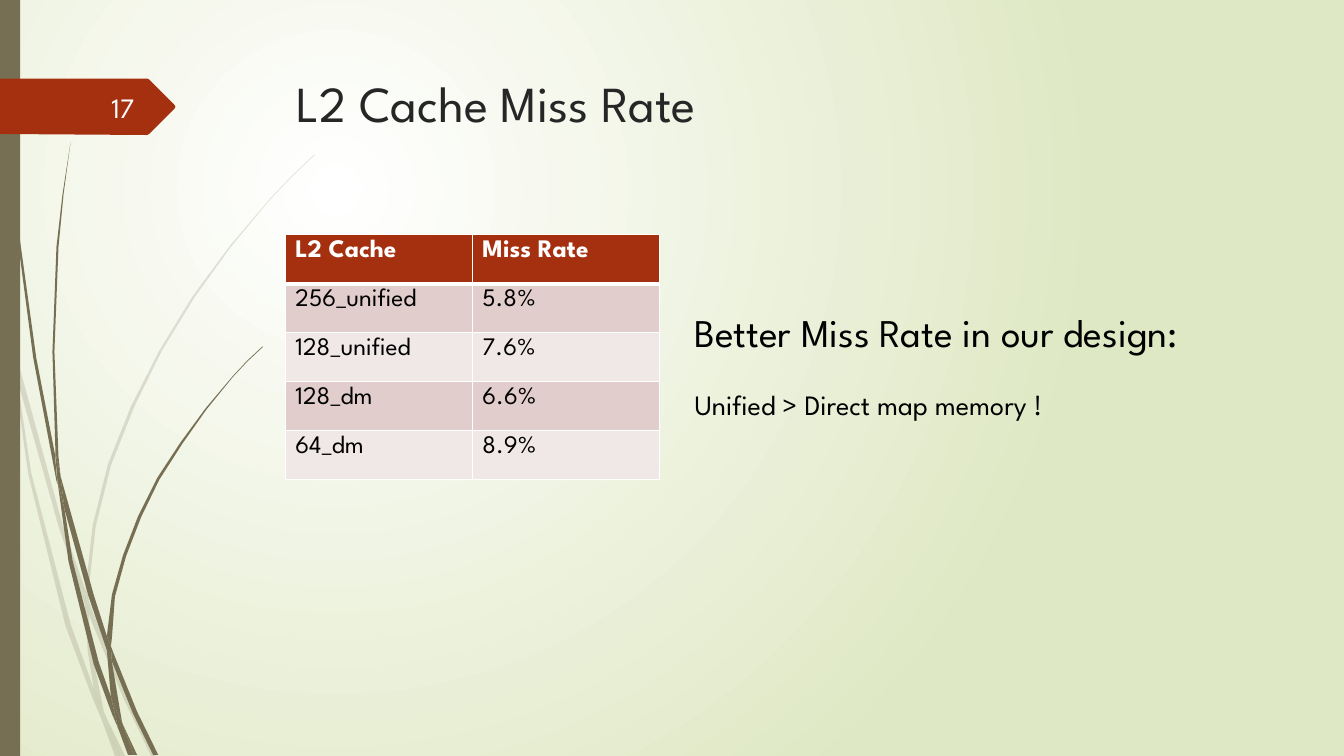
from dataclasses import dataclass

from lxml.etree import SubElement
from pptx import Presentation
from pptx.dml.color import RGBColor as RGB
from pptx.enum.shapes import MSO_SHAPE as Shape
from pptx.enum.text import MSO_ANCHOR as Anchor, PP_ALIGN as Align
from pptx.oxml import parse_xml
from pptx.oxml.ns import nsdecls, qn
from pptx.util import Inches, Pt


@dataclass
class Theme:
    font: str = "League Spartan"
    white: str = "FFFFFF"
    green: str = "DFE8C4"
    olive: str = "766F54"
    red: str = "A53010"
    ink: str = "262626"
    black: str = "000000"
    light: str = "FEFFFF"
    bands: tuple = ("F0E8E7", "E1CDCC")
    title: int = 36
    lead: int = 28
    body: int = 20
    cell: int = 18


theme = Theme()


def style(para, size, color, bold=False):
    for run in para.runs:
        font = run.font
        font.name, font.size, font.bold = theme.font, Pt(size), bold
        font.color.rgb = RGB.from_string(color)


def paint(part, color, alpha=100):
    part.shadow.inherit = False
    part.line.fill.background()
    part.fill.solid()
    part.fill.fore_color.rgb = RGB.from_string(color)
    if alpha < 100:
        tint = part.element.spPr.find(".//" + qn("a:srgbClr"))
        SubElement(tint, qn("a:alpha"), val=str(alpha * 1000))


deck = Presentation()
deck.slide_width, deck.slide_height = Inches(13.33), Inches(7.5)
slide = deck.slides.add_slide(deck.slide_layouts[5])
shapes = slide.shapes

# Background: radial gradient centred in the upper left
back = slide.background.fill
back.gradient()
for stop, color in zip(back.gradient_stops, (theme.white, theme.green)):
    stop.color.rgb = RGB.from_string(color)
grad = slide.element.find(".//" + qn("a:gradFill"))
grad.remove(grad.find(qn("a:lin")))
ring = SubElement(grad, qn("a:path"), path="circle")
SubElement(ring, qn("a:fillToRect"), l="50000", t="50000", r="100000", b="100000")

# Grass blades, in sections
pale = [
    [(0.11, 3.5), (0.09, 3.22), (0, 2.82), (0, 2.99), (0.1, 3.44)],
    [(0.58, 5.22), (0.84, 5.99), (0.85, 5.86), (0.62, 5.2), (0.14, 3.45), (0.17, 3.76)],
    [(0.92, 6.07), (0.88, 5.96), (0.88, 6.1), (1.23, 6.94), (1.5, 7.5), (1.55, 7.5),
     (1.27, 6.92)],
    [(1.19, 7.5), (1.24, 7.5), (1.05, 7.11)],
    [(0.93, 6.83), (0.7, 6.19), (0.31, 4.69), (0.17, 3.76), (0.11, 3.5), (0.28, 4.7),
     (0.65, 6.21), (0.92, 6.93), (1.01, 7.14), (0.99, 7.07)],
    [(0.84, 5.99), (0.87, 6.46), (0.93, 6.83), (0.96, 6.92), (1.05, 7.11), (1.03, 7.06),
     (0.91, 6.46), (0.88, 6.1), (0.88, 6.08)],
    [(0.88, 5.84), (0.95, 5.22), (1.1, 4.62), (1.33, 4.04), (1.6, 3.49), (1.93, 2.95),
     (2.29, 2.45), (2.68, 1.98), (2.9, 1.75), (3.12, 1.54), (3.12, 1.53), (2.89, 1.75),
     (2.68, 1.97), (2.28, 2.44), (1.91, 2.94), (1.58, 3.48), (1.3, 4.03), (1.07, 4.61),
     (0.92, 5.21), (0.85, 5.84), (0.85, 5.86), (0.88, 5.96)],
    [(1.01, 7.14), (1.14, 7.5), (1.19, 7.5)],
    [(0.88, 6.08), (0.88, 6.1), (0.88, 5.96), (0.85, 5.86), (0.84, 5.99)],
    [(0.96, 6.92), (0.93, 6.83), (0.99, 7.07), (1.01, 7.14), (1.19, 7.5), (1.05, 7.11)],
]
dark = [
    [(0.07, 1.1), (0.17, 2.33), (0.33, 3.55), (0.56, 4.77), (0.57, 4.81), (0.55, 4.57),
     (0.55, 4.53), (0.36, 3.55), (0.19, 2.32), (0.08, 1.09), (0.05, 0.48), (0.04, 0),
     (0.03, 0), (0.04, 0.48)],
    [(0.88, 5.92), (1.06, 6.45), (1.06, 6.33), (1.06, 6.31), (0.93, 5.9), (0.6, 4.72),
     (0.64, 5.05)],
    [(1.13, 6.49), (1.1, 6.41), (1.11, 6.56), (1.32, 7.08), (1.52, 7.49), (1.57, 7.49),
     (1.36, 7.06)],
    [(1.1, 6.91), (0.98, 6.57), (0.72, 5.56), (0.64, 5.05), (0.57, 4.77), (0.68, 5.57),
     (0.93, 6.59), (1.11, 7.08), (1.17, 7.22), (1.16, 7.17)],
    [(0.6, 4.72), (0.58, 4.53), (0.54, 3.49), (0.58, 2.45), (0.63, 1.93), (0.7, 1.41),
     (0.62, 1.93), (0.56, 2.45), (0.52, 3.49), (0.55, 4.49)],
    [(1.33, 7.49), (1.36, 7.49), (1.22, 7.19)],
    [(0.57, 4.77), (0.64, 5.05), (0.6, 4.72), (0.55, 4.49), (0.55, 4.53)],
    [(1.11, 6.33), (1.14, 5.92), (1.25, 5.52), (1.4, 5.13), (1.58, 4.76), (1.81, 4.4),
     (2.05, 4.06), (2.31, 3.74), (2.45, 3.59), (2.61, 3.44), (2.6, 3.44), (2.45, 3.58),
     (2.31, 3.73), (2.04, 4.05), (1.79, 4.39), (1.56, 4.74), (1.37, 5.12), (1.22, 5.51),
     (1.11, 5.9), (1.06, 6.31), (1.1, 6.41)],
    [(1.17, 7.22), (1.27, 7.49), (1.31, 7.49)],
    [(1.06, 6.45), (1.1, 6.91), (1.16, 7.06), (1.22, 7.19), (1.21, 7.16), (1.11, 6.56),
     (1.09, 6.51)],
    [(1.06, 6.45), (1.09, 6.51), (1.11, 6.56), (1.1, 6.41), (1.06, 6.31), (1.06, 6.33)],
    [(1.16, 7.06), (1.1, 6.91), (1.16, 7.17), (1.17, 7.22), (1.3, 7.49), (1.33, 7.49),
     (1.22, 7.19)],
]
flag = [(0, 0.78), (1.46, 0.78), (1.48, 0.79), (1.73, 1.04), (1.74, 1.06), (1.73, 1.08),
        (1.48, 1.33), (1.46, 1.34), (0, 1.33)]

# Blades and number tag, then the side bar
for group, color, alpha in ((pale, theme.olive, 20), (dark, theme.olive, 100),
                            ([flag], theme.red, 100)):
    for outline in group:
        edge = [(Inches(x), Inches(y)) for x, y in outline]
        form = shapes.build_freeform(*edge[0])
        form.add_line_segments(edge[1:], close=True)
        paint(form.convert_to_shape(), color, alpha)
    if group is dark:
        bar = shapes.add_shape(Shape.RECTANGLE, 0, 0, Inches(0.2), Inches(7.5))
        paint(bar, theme.olive)

# Title
title = shapes.title
title.left, title.top = Inches(2.84), Inches(0.67)
title.width, title.height = Inches(9.75), Inches(1.4)
title.text_frame.text = "L2 Cache Miss Rate"
title.text_frame.vertical_anchor = Anchor.TOP
head = title.text_frame.paragraphs[0]
head.alignment = Align.LEFT
style(head, theme.title, theme.ink)

# Miss rate table
rows = [("L2 Cache", "Miss Rate"), ("256_unified", "5.8%"),
        ("128_unified", "7.6%"), ("128_dm", "6.6%"), ("64_dm", "8.9%")]
grid = shapes.add_table(len(rows), 2, Inches(2.83), Inches(2.33),
                        Inches(3.71), Inches(2.43)).table
for r, row in enumerate(rows):
    top = r == 0
    for c, text in enumerate(row):
        cell = grid.cell(r, c)
        cell.text_frame.text = text
        style(cell.text_frame.paragraphs[0], theme.cell,
              theme.white if top else theme.black, top)
        cell.fill.solid()
        cell.fill.fore_color.rgb = RGB.from_string(
            theme.red if top else theme.bands[r % 2])
        props = cell._tc.get_or_add_tcPr()
        for i, side in enumerate("LRTB"):
            thick = (top and side == "B") or (r == 1 and side == "T")
            props.insert(i, parse_xml(
                f'<a:ln{side} {nsdecls("a")} w="{Pt(3 if thick else 1)}">'
                f'<a:solidFill><a:srgbClr val="{theme.white}"/></a:solidFill>'
                f'</a:ln{side}>'))

# Takeaway
note = shapes.add_textbox(Inches(6.79), Inches(3.01), Inches(6.11), Inches(1.25)).text_frame
note.word_wrap = True
note.text = "Better Miss Rate in our design:\nUnified > Direct map memory !"
lead, body = note.paragraphs
style(lead, theme.lead, theme.black)
style(body, theme.body, theme.black)
body.space_before = Pt(23)

# Slide number
num = shapes.add_textbox(Inches(0.58), Inches(0.86), Inches(0.85), Inches(0.4)).text_frame
num.word_wrap = True
num.vertical_anchor = Anchor.MIDDLE
num.text = "17"
num.paragraphs[0].alignment = Align.RIGHT
style(num.paragraphs[0], theme.body, theme.light)

deck.save("out.pptx")
